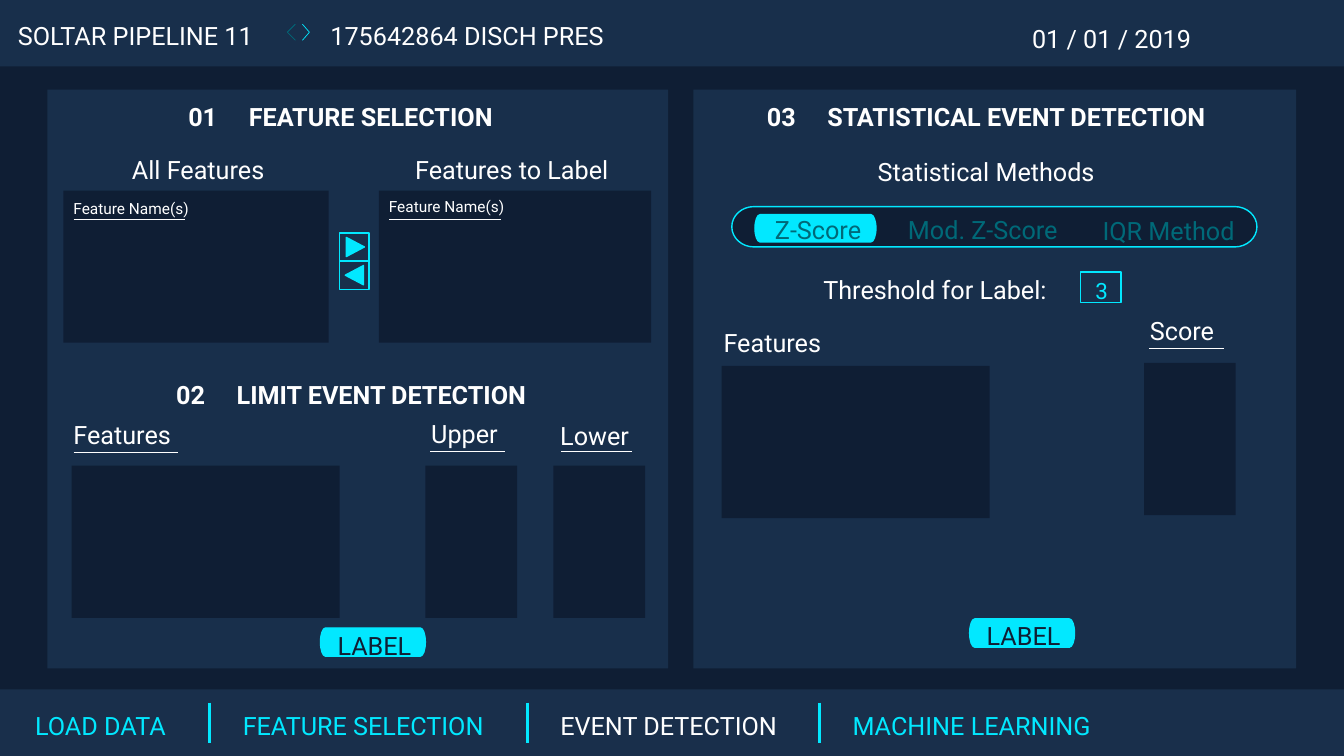
from pptx import Presentation
from pptx.dml.color import RGBColor
from pptx.enum import shapes
from pptx.oxml import ns
from pptx.util import Inches, Pt
from lxml import etree

FONT = "Roboto"
COLORS = {"night": "0F1E34", "panel": "182F4B", "footer": "192F4B",
          "cyan": "02E8FF", "teal": "006978", "white": "FFFFFF"}

# Content: text, left, top, width, colour
HEADER = [("SOLTAR PIPELINE 11", 0.08, 0.15, 2.73, "white"),
          ("175642864 DISCH PRES", 3.18, 0.15, 3, "white"),
          ("01 / 01 / 2019", 10.14, 0.18, 1.82, "white")]
TABS = [("LOAD DATA", 0.25, 7, 1.62, "cyan"),
        ("FEATURE SELECTION", 2.31, 7, 2.71, "cyan"),
        ("EVENT DETECTION", 5.46, 7, 2.48, "white"),
        ("MACHINE LEARNING", 8.36, 7, 2.68, "cyan")]
LABELS = [("All Features", 1.21, 1.48, 1.55, "white"),
          ("Features to Label", 4.02, 1.48, 2.17, "white"),
          ("Features", 0.63, 4.11, 1.18, "white"),
          ("Upper", 4.18, 4.1, 0.93, "white"),
          ("Lower", 5.46, 4.12, 0.9, "white"),
          ("Statistical Methods", 8.61, 1.5, 2.37, "white"),
          ("Threshold for Label:", 8.07, 2.67, 2.51, "white"),
          ("Features", 7.08, 3.2, 1.18, "white"),
          ("Score", 11.31, 3.08, 0.85, "white")]
METHODS = [("Z-Score", 7.59, 2.08, 1.07, "teal"),
           ("Mod. Z-Score", 8.91, 2.08, 1.73, "teal"),
           ("IQR Method", 10.84, 2.09, 1.6, "teal")]
SECTIONS = [("01\tFEATURE SELECTION", 1.77, 0.96, 3.43, "white"),
            ("02\tLIMIT EVENT DETECTION", 1.65, 3.71, 3.93, "white"),
            ("03\tSTATISTICAL EVENT DETECTION", 7.51, 0.96, 4.79, "white")]
TITLE_TAB = 0.6
FEATURE_NAMES = [(0.63, 1.93), (3.76, 1.91)]

# Geometry: left, top, width, height
WIDTH, HEIGHT = 40 / 3, 7.5
PANELS = [(0.47, 0.89, 6.16, 5.74), (6.88, 0.89, 5.98, 5.74)]
LIST_HEIGHT = 1.51
LISTS = [(0.63, 1.89, 2.63), (3.76, 1.89, 2.7), (0.71, 4.62, 2.66),
         (4.22, 4.62, 0.91), (5.49, 4.62, 0.91), (7.16, 3.63, 2.66),
         (11.35, 3.6, 0.91)]
UNDERLINES = [(0.73, 1.84, 2.18), (3.86, 4.97, 2.18), (0.73, 1.77, 4.49),
              (4.27, 5.01, 4.48), (5.57, 6.27, 4.48), (11.4, 12.14, 3.46)]
LABEL_BUTTONS = [(3.18, 6.23), (9.62, 6.14)]
ARROW_BUTTONS = [(2.31, 3.43, 90), (2.59, 3.42, 270)]
CHEVRONS = [(3.07, 3, "cyan"), (2.85, 2.93, "teal")]
ROUND = 0.55  # control point reach for a quarter ellipse


def rgb(name):
    return RGBColor.from_string(COLORS[name])


def paint(shape, fill=None, line=None):
    shape.shadow.inherit = False
    if fill:
        shape.fill.solid()
        shape.fill.fore_color.rgb = rgb(fill)
    else:
        shape.fill.background()
    if line:
        shape.line.color.rgb = rgb(line)
        shape.line.width = Pt(1)
    else:
        shape.line.fill.background()
    return shape


def add_box(left, top, width, height, fill=None, line=None,
            kind=shapes.MSO_SHAPE.RECTANGLE):
    box = page.shapes.add_shape(kind, *map(Inches, (left, top, width, height)))
    return paint(box, fill, line)


def add_pill(left, top, width, height, end, fill):
    """Straight top and bottom, half-ellipse ends that are `end` wide."""
    left, top, width, height, end = map(
        Inches, (left, top, width, height, end))
    nodes = [(end, 0), (width - end, 0), (width, height // 2),
             (width - end, height), (end, height), (0, height // 2), (end, 0)]
    corners = {2: (width, 0), 3: (width, height), 5: (0, height), 6: (0, 0)}
    builder = page.shapes.build_freeform(left + end, top)
    builder.add_line_segments([(left + x, top + y) for x, y in nodes[1:]])
    pill = paint(builder.convert_to_shape(), fill, "cyan")
    segments = list(pill._element.iter(ns.qn("a:lnTo")))
    for index, corner in corners.items():
        segment = segments[index - 1]
        segment.tag = ns.qn("a:cubicBezTo")
        for place, node in enumerate(nodes[index - 1:index + 1]):
            x, y = (round(n + ROUND * (c - n)) for n, c in zip(node, corner))
            control = etree.Element(ns.qn("a:pt"), x=str(x), y=str(y))
            segment.insert(place, control)


def add_text(words, left, top, width, color, size=18, bold=False, height=0.4):
    box = page.shapes.add_textbox(*map(Inches, (left, top, width, height)))
    box.text_frame.word_wrap = False
    para = box.text_frame.paragraphs[0]
    para.text = words
    para.font.name, para.font.size, para.font.bold = FONT, Pt(size), bold
    para.font.color.rgb = rgb(color)
    return para


def add_section(*entry):
    para = add_text(*entry, bold=True)
    stops = etree.Element(ns.qn("a:tabLst"))
    etree.SubElement(stops, ns.qn("a:tab"), pos=str(Inches(TITLE_TAB)),
                     algn="l")
    para._p.get_or_add_pPr().insert(0, stops)


def add_line(x1, y1, x2, y2, color, weight):
    line = page.shapes.add_connector(shapes.MSO_CONNECTOR.STRAIGHT,
                                     *map(Inches, (x1, y1, x2, y2)))
    line.line.color.rgb = rgb(color)
    line.line.width = Pt(weight)
    etree.SubElement(line._element.spPr, ns.qn("a:effectLst"))


deck = Presentation()
deck.slide_width, deck.slide_height = Inches(WIDTH), Inches(HEIGHT)
page = deck.slides.add_slide(deck.slide_layouts[6])
page.background.fill.solid()
page.background.fill.fore_color.rgb = rgb("night")

# Header and footer
add_box(0, 0, WIDTH, 0.66, "panel")
add_box(0, 6.84, WIDTH, 0.66, "footer")
for entry in TABS + HEADER:
    add_text(*entry)
for tab in TABS[1:]:
    divider = tab[1] - 0.23
    add_line(divider, 6.97, divider, 7.37, "cyan", 2)
for tip, back, color in CHEVRONS:
    for end in (0.24, 0.4):
        add_line(back, end, tip, 0.32, color, 0.5)

# Panels, section titles and lists
for panel in PANELS:
    add_box(*panel, "panel")
for section in SECTIONS:
    add_section(*section)
for area in LISTS:
    add_box(*area, LIST_HEIGHT, "night")

# Arrow buttons
for top, arrow_left, turn in ARROW_BUTTONS:
    add_box(3.37, top, 0.29, 0.28, line="cyan")
    arrow = add_box(arrow_left, top + 0.05, 0.19, 0.18, "cyan", "cyan",
                    shapes.MSO_SHAPE.ISOSCELES_TRIANGLE)
    arrow.rotation = turn

# Labels and underlines
for left, top in FEATURE_NAMES:
    add_text("Feature Name(s)", left, top, 1.36, "white", 11, height=0.29)
for label in LABELS:
    add_text(*label)
for start, stop, level in UNDERLINES:
    add_line(start, level, stop, level, "white", 1)

# Method selector
add_pill(7.26, 2.05, 5.21, 0.4, 0.22, "night")
add_pill(7.49, 2.13, 1.2, 0.27, 0.05, "cyan")
for method in METHODS:
    add_text(*method)

# Threshold field and label buttons
add_box(10.72, 2.7, 0.4, 0.3, line="cyan")
add_text("3", 10.77, 2.7, 0.33, "cyan", 16, height=0.37)
for left, top in LABEL_BUTTONS:
    add_pill(left, top, 1.04, 0.28, 0.05, "cyan")
    add_text("LABEL", left + 0.07, top - 0.03, 0.95, "night")

deck.save("out.pptx")
